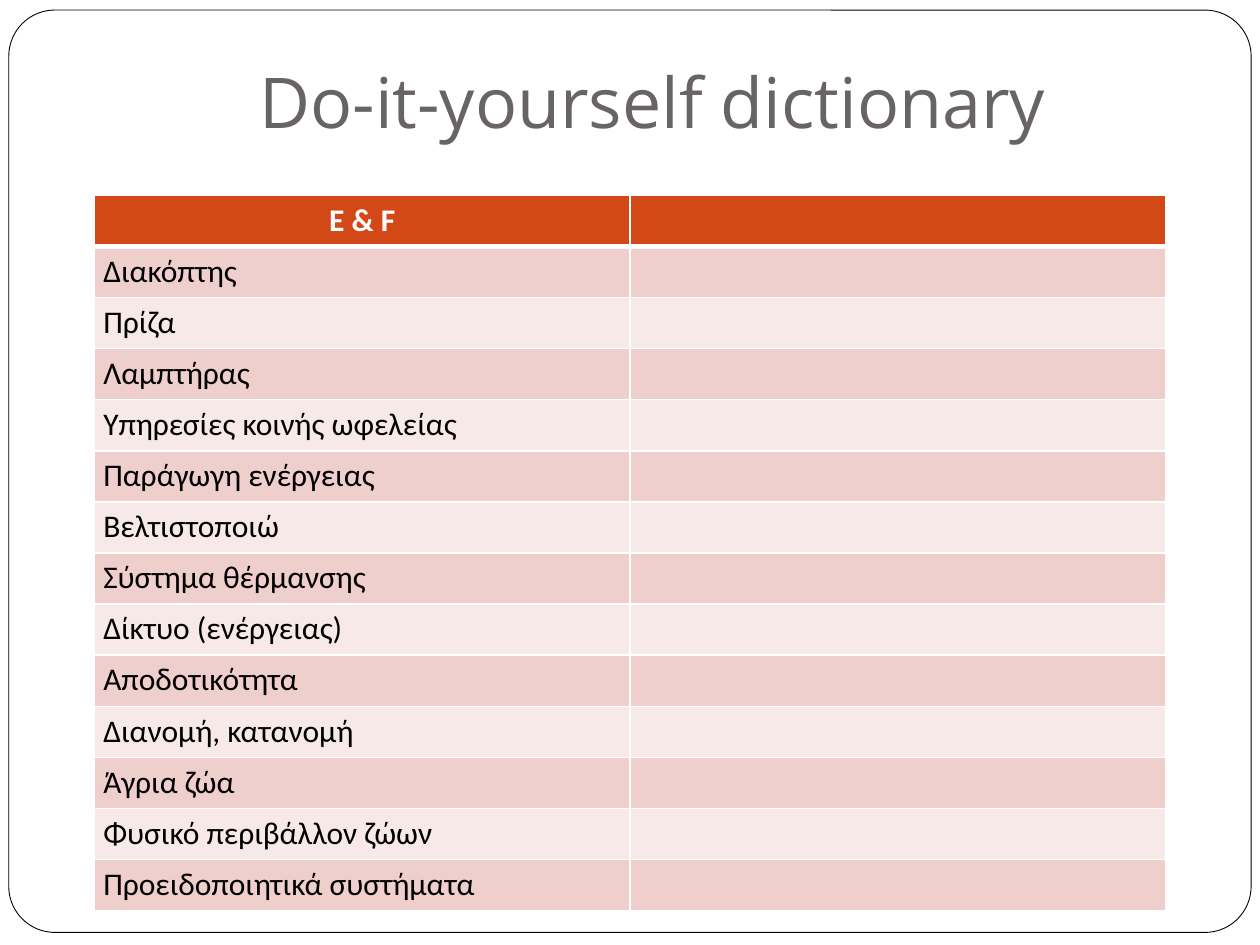
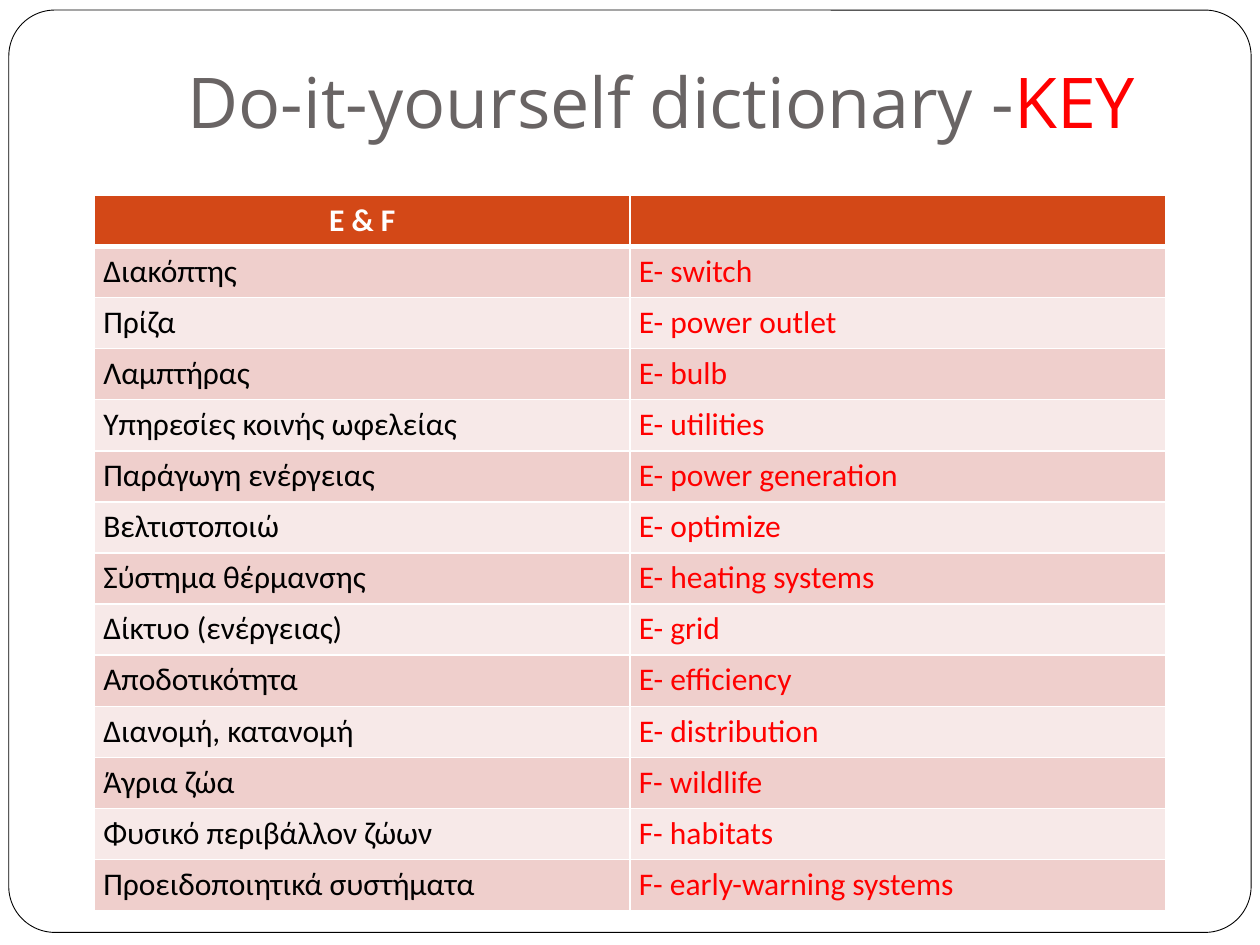
from dataclasses import dataclass

from lxml.etree import SubElement
from pptx import Presentation
from pptx.dml.color import RGBColor
from pptx.enum.shapes import MSO_SHAPE as Shape
from pptx.enum.text import MSO_ANCHOR as Anchor, PP_ALIGN as Align
from pptx.oxml.ns import qn
from pptx.util import Inches, Pt


@dataclass(frozen=True)
class Theme:
    """Colours, fonts and sizes shared by the slides."""

    white: str = "FFFFFF"
    black: str = "000000"
    title: str = "696464"
    answer: str = "FF0000"
    header: str = "D34817"
    bands: tuple = ("EFCFCC", "F7E9E8")
    title_font: str = "Open Sans"
    table_font: str = "Calibri"
    title_size: int = 40
    table_size: int = 18
    grid_width: int = 1
    header_rule: int = 3
    frame_width: float = 0.5


THEME = Theme()
TITLE = "Do-it-yourself dictionary "
HEADINGS = ("E & F", "")
ENTRIES = (
    ("Διακόπτης", "E- switch"),
    ("Πρίζα", "E- power outlet"),
    ("Λαμπτήρας", "E- bulb"),
    ("Υπηρεσίες κοινής ωφελείας", "E- utilities"),
    ("Παράγωγη ενέργειας", "E- power generation"),
    ("Βελτιστοποιώ", "E- optimize"),
    ("Σύστημα θέρμανσης", "E- heating systems"),
    ("Δίκτυο (ενέργειας)", "E- grid"),
    ("Αποδοτικότητα", "E- efficiency"),
    ("Διανομή, κατανομή", "E- distribution"),
    ("Άγρια ζώα", "F- wildlife"),
    ("Φυσικό περιβάλλον ζώων", "F- habitats"),
    ("Προειδοποιητικά συστήματα", "F- early-warning systems"),
)


def style_font(font, name, size, color, bold=False):
    """Set the typeface, size, colour and weight of a font."""
    font.name = name
    font.size = Pt(size)
    font.bold = bold
    font.color.rgb = RGBColor.from_string(color)


def add_frame(slide):
    """Draw the rounded outline around the slide."""
    frame = slide.shapes.add_shape(
        Shape.ROUNDED_RECTANGLE, Inches(0.07), Inches(0.08), Inches(9.86), Inches(7.32)
    )
    frame.adjustments[0] = 0.05
    frame.shadow.inherit = False
    frame.fill.solid()
    frame.fill.fore_color.rgb = RGBColor.from_string(THEME.white)
    frame.line.color.rgb = RGBColor.from_string(THEME.black)
    frame.line.width = Pt(THEME.frame_width)


def add_title(slide, parts):
    """Write the centred title from pairs of text and colour."""
    box = slide.shapes.add_textbox(Inches(1), Inches(0.3), Inches(8.5), Inches(0.93))
    text_frame = box.text_frame
    text_frame.word_wrap = True
    text_frame.vertical_anchor = Anchor.BOTTOM
    text_frame.margin_bottom = Inches(0.1)
    paragraph = text_frame.paragraphs[0]
    paragraph.alignment = Align.CENTER
    for text, color in parts:
        run = paragraph.add_run()
        run.text = text
        style_font(run.font, THEME.title_font, THEME.title_size, color)


def add_borders(cell, top, bottom):
    """Give a cell white borders with the given top and bottom widths."""
    properties = cell._tc.get_or_add_tcPr()
    widths = {"L": THEME.grid_width, "R": THEME.grid_width, "T": top, "B": bottom}
    for side, width in widths.items():
        line = SubElement(properties, qn(f"a:ln{side}"), w=str(Pt(width)))
        fill = SubElement(line, qn("a:solidFill"))
        SubElement(fill, qn("a:srgbClr"), val=THEME.white)


def fill_cell(cell, text, row, color):
    """Format one cell according to its row and write its text."""
    is_header = row == 0
    add_borders(
        cell,
        top=THEME.header_rule if row == 1 else THEME.grid_width,
        bottom=THEME.header_rule if is_header else THEME.grid_width,
    )
    cell.fill.solid()
    background = THEME.header if is_header else THEME.bands[(row - 1) % 2]
    cell.fill.fore_color.rgb = RGBColor.from_string(background)
    cell.margin_left = cell.margin_right = Inches(0.07)
    cell.margin_top = cell.margin_bottom = 0
    cell.text_frame.text = text
    paragraph = cell.text_frame.paragraphs[0]
    paragraph.line_spacing = 1.15
    paragraph.alignment = Align.CENTER if is_header else Align.LEFT
    for run in paragraph.runs:
        style_font(run.font, THEME.table_font, THEME.table_size, color, is_header)


def add_dictionary(slide, show_answers):
    """Add the word table, with or without its translations."""
    rows = (HEADINGS, *ENTRIES)
    height = Inches(5.68)
    table = slide.shapes.add_table(
        len(rows), len(HEADINGS), Inches(0.75), Inches(1.55), Inches(8.5), height
    ).table
    for row, (word, answer) in enumerate(rows):
        table.rows[row].height = height // len(rows)
        word_color = THEME.black if row else THEME.white
        fill_cell(table.cell(row, 0), word, row, word_color)
        fill_cell(table.cell(row, 1), answer if show_answers else "", row, THEME.answer)


def add_dictionary_slide(presentation, title_parts, show_answers):
    """Add a framed slide with its title and word table."""
    slide = presentation.slides.add_slide(presentation.slide_layouts[6])
    add_frame(slide)
    add_dictionary(slide, show_answers)
    add_title(slide, title_parts)


def main():
    """Build the exercise and its key."""
    presentation = Presentation()
    presentation.slide_width = Inches(10)
    presentation.slide_height = Inches(7.5)
    add_dictionary_slide(presentation, [(TITLE, THEME.title)], show_answers=False)
    key_title = [(TITLE + "-", THEME.title), ("KEY", THEME.answer)]
    add_dictionary_slide(presentation, key_title, show_answers=True)
    presentation.save("out.pptx")


if __name__ == "__main__":
    main()
